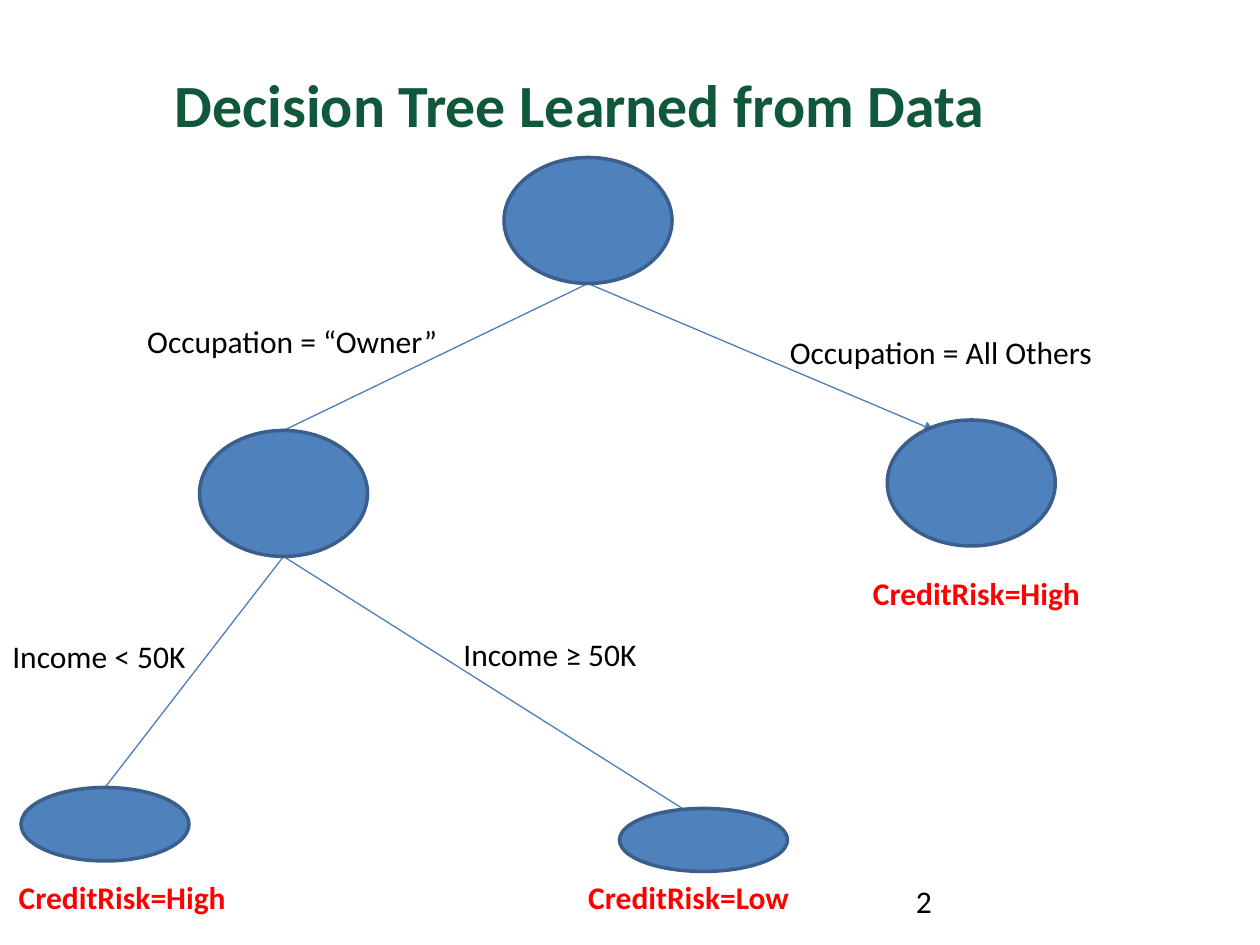
import dataclasses

import pptx
import pptx.dml.color
import pptx.enum.shapes
import pptx.enum.text
import pptx.oxml
import pptx.oxml.ns
import pptx.util


@dataclasses.dataclass(frozen=True)
class Theme:
    """Colours, font and type sizes of the slide."""
    font: str = "Calibri"
    title_size: float = 34.2
    body_size: float = 18
    title: str = "0F583A"
    body: str = "000000"
    outcome: str = "FF0000"
    node_fill: str = "4F81BD"
    node_line: str = "3A5F8C"
    branch: str = "4B7EBC"


THEME = Theme()
CELLS_PER_INCH = 12
NODE_WIDTH = 16
LABEL_HEIGHT = 0.4

NODES = [(48, 15, 12), (19, 41, 12), (84.5, 40, 12), (2, 75, 7), (59, 77, 6)]
ROOT_BASE, OWNER_BASE = (56, 27), (27, 53)
BRANCHES = [
    (ROOT_BASE, (27, 41), False),
    (ROOT_BASE, (89, 41), True),
    (OWNER_BASE, (10, 75), False),
    (OWNER_BASE, (65, 77), False),
]
CONDITIONS = [
    ("Occupation = “Owner”", 1.07, 2.51, 2.68),
    ("Occupation = All Others", 6.17, 2.59, 2.86),
    ("Income < 50K", 0, 5.01, 1.77),
    ("Income ≥ 50K", 3.58, 4.99, 1.76),
]
OUTCOMES = [
    ("CreditRisk=High", 0.05, 6.92, 2.17),
    ("CreditRisk=Low", 4.57, 6.92, 2.12),
    ("CreditRisk=High", 6.83, 4.51, 2.17),
]


def rgb(colour):
    """Return a colour object for a hex value."""
    return pptx.dml.color.RGBColor.from_string(colour)


def cells(*counts):
    """Turn grid cells into lengths."""
    return [pptx.util.Inches(count / CELLS_PER_INCH) for count in counts]


def inches(*values):
    """Turn numbers of inches into lengths."""
    return [pptx.util.Inches(value) for value in values]


def format_runs(frame, size, colour, bold=False):
    """Apply the theme font to every run of a text frame."""
    for paragraph in frame.paragraphs:
        for run in paragraph.runs:
            run.font.name = THEME.font
            run.font.size = pptx.util.Pt(size)
            run.font.bold = bold
            run.font.color.rgb = rgb(colour)


def set_title(slide, wording):
    """Fill and place the title placeholder."""
    title = slide.shapes.title
    title.left, title.top, title.width, title.height = inches(0.35, 0.5, 8.5, 0.64)
    frame = title.text_frame
    frame.text = wording
    frame.word_wrap = True
    frame.auto_size = pptx.enum.text.MSO_AUTO_SIZE.NONE
    frame.vertical_anchor = pptx.enum.text.MSO_ANCHOR.MIDDLE
    frame.paragraphs[0].alignment = pptx.enum.text.PP_ALIGN.CENTER
    format_runs(frame, THEME.title_size, THEME.title, bold=True)


def add_node(slide, column, row, height):
    """Draw one oval tree node."""
    node = slide.shapes.add_shape(
        pptx.enum.shapes.MSO_SHAPE.OVAL, *cells(column, row, NODE_WIDTH, height))
    node.shadow.inherit = False
    node.fill.solid()
    node.fill.fore_color.rgb = rgb(THEME.node_fill)
    node.line.color.rgb = rgb(THEME.node_line)
    node.line.width = pptx.util.Pt(2)


def add_branch(slide, start, end, arrow):
    """Draw one branch, with an arrowhead if asked."""
    branch = slide.shapes.add_connector(
        pptx.enum.shapes.MSO_CONNECTOR.STRAIGHT, *cells(*start, *end))
    branch.line.color.rgb = rgb(THEME.branch)
    branch.line.width = pptx.util.Pt(0.75)
    properties = branch.line._get_or_add_ln()
    if arrow:
        head = pptx.oxml.parse_xml(
            f'<a:tailEnd {pptx.oxml.ns.nsdecls("a")} type="triangle"/>')
        properties.append(head)
    properties.addnext(
        pptx.oxml.parse_xml(f'<a:effectLst {pptx.oxml.ns.nsdecls("a")}/>'))


def add_label(slide, wording, left, top, width, colour, bold=False, wrap=False):
    """Write one line of text."""
    label = slide.shapes.add_textbox(*inches(left, top, width, LABEL_HEIGHT))
    frame = label.text_frame
    frame.text = wording
    frame.word_wrap = wrap
    if not wrap:
        frame.auto_size = pptx.enum.text.MSO_AUTO_SIZE.SHAPE_TO_FIT_TEXT
    format_runs(frame, THEME.body_size, colour, bold)


def main():
    """Build the decision tree slide."""
    presentation = pptx.Presentation()
    presentation.slide_width, presentation.slide_height = inches(10, 7.5)
    slide = presentation.slides.add_slide(presentation.slide_layouts[5])
    set_title(slide, "Decision Tree Learned from Data")
    for branch in BRANCHES:
        add_branch(slide, *branch)
    for node in NODES:
        add_node(slide, *node)
    for condition in CONDITIONS:
        add_label(slide, *condition, THEME.body)
    for outcome in OUTCOMES:
        add_label(slide, *outcome, THEME.outcome, bold=True)
    add_label(slide, "2", 7.17, 6.95, 2.33, THEME.body, wrap=True)
    presentation.save("out.pptx")


if __name__ == "__main__":
    main()
